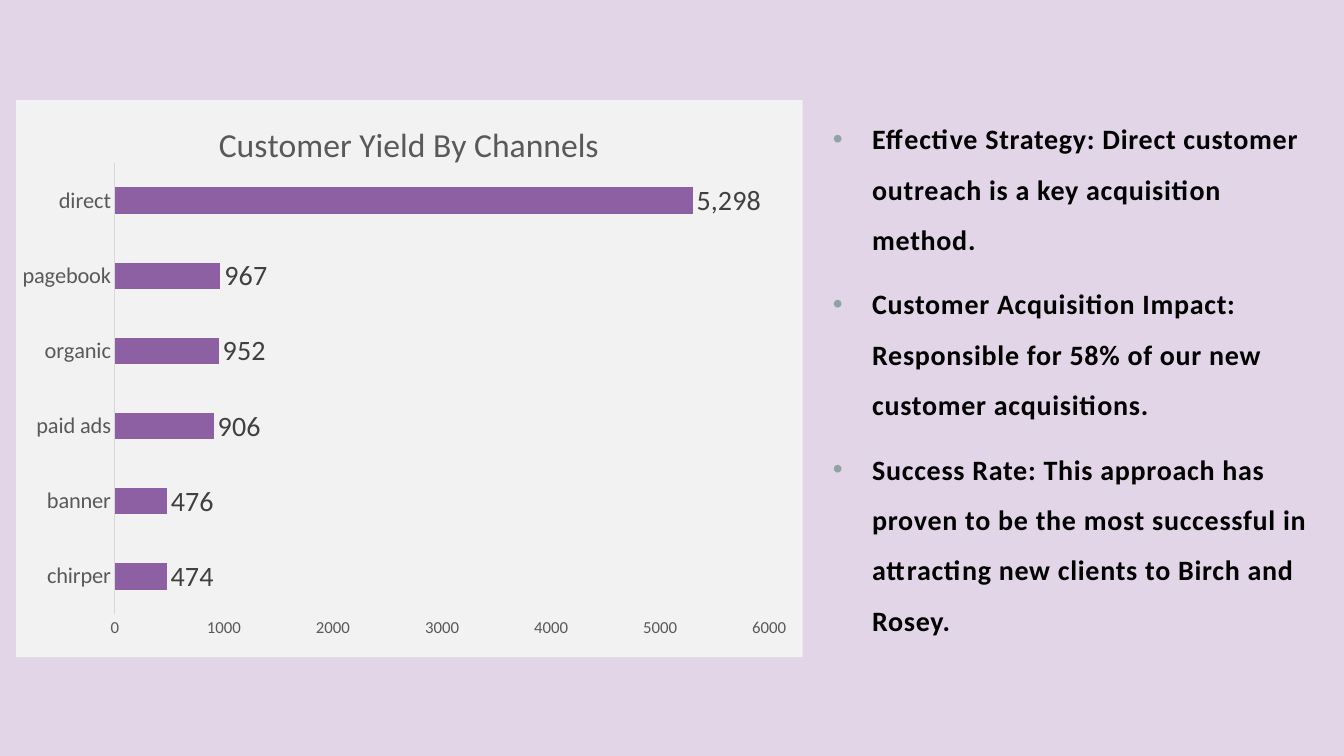
from lxml.etree import SubElement
from pptx import Presentation
from pptx.chart.data import CategoryChartData
from pptx.dml.color import RGBColor
from pptx.enum.chart import XL_CHART_TYPE, XL_LABEL_POSITION, XL_TICK_MARK
from pptx.enum.text import MSO_ANCHOR, MSO_AUTO_SIZE, PP_ALIGN
from pptx.oxml import parse_xml
from pptx.oxml.ns import nsdecls, qn
from pptx.util import Inches, Pt

FONT = "Calibri"
WIDTH, HEIGHT = 7.8, 5.53
COLORS = {
    "back": "E1D5E7",
    "panel": "F2F2F2",
    "bar": "8D5FA3",
    "axis": "D9D9D9",
    "grey": "595959",
    "label": "404040",
    "text": "000000",
    "bullet": "8FA3A3",
}
YIELDS = [
    ("chirper", 474),
    ("banner", 476),
    ("paid ads", 906),
    ("organic", 952),
    ("pagebook", 967),
    ("direct", 5298),
]
POINTS = [
    "Effective Strategy: Direct customer outreach is a key acquisition method.",
    "Customer Acquisition Impact: Responsible for 58% of our new customer acquisitions.",
    "Success Rate: This approach has proven to be the most successful in "
    "attracting new clients to Birch and Rosey.",
]


def color(name):
    """Return the named colour."""
    return RGBColor.from_string(COLORS[name])


def style(font, size, name, bold=False):
    """Set the face, size, colour and weight of a font."""
    font.name = FONT
    font.size = Pt(size)
    font.bold = bold
    font.color.rgb = color(name)


def place(shape, left, top, width, height):
    """Move and size a shape, in inches."""
    shape.left, shape.top = Inches(left), Inches(top)
    shape.width, shape.height = Inches(width), Inches(height)


def add_point(para, text):
    """Fill a paragraph with one bold bulleted point."""
    para.alignment = PP_ALIGN.LEFT
    para.line_spacing = 1.5
    para.space_before = Pt(10)
    para.space_after = Pt(0)
    props = para._p.get_or_add_pPr()
    props.set("marL", str(Inches(0.39)))
    props.set("indent", str(-Inches(0.39)))
    tint = SubElement(props, qn("a:buClr"))
    SubElement(tint, qn("a:srgbClr"), val=COLORS["bullet"])
    SubElement(props, qn("a:buFont"), typeface="Arial")
    SubElement(props, qn("a:buChar"), char="•")
    run = para.add_run()
    run.text = text
    style(run.font, 20, "text", True)
    run._r.get_or_add_rPr().set("spc", "50")


def fill_list(body, points):
    """Place the body and write its points."""
    place(body, 8.16, 0.99, 4.95, 5.74)
    frame = body.text_frame
    frame.word_wrap = True
    frame.auto_size = MSO_AUTO_SIZE.NONE
    frame.vertical_anchor = MSO_ANCHOR.TOP
    for i, text in enumerate(points):
        para = frame.add_paragraph() if i else frame.paragraphs[0]
        add_point(para, text)


def make_layout(left, top, size=None):
    """Build a manual chart layout from inches within the chart."""
    items = [("xMode", "edge"), ("yMode", "edge"), ("x", left / WIDTH), ("y", top / HEIGHT)]
    if size:
        items.insert(0, ("layoutTarget", "inner"))
        items += [("w", size[0] / WIDTH), ("h", size[1] / HEIGHT)]
    inner = "".join(f'<c:{tag} val="{val}"/>' for tag, val in items)
    return parse_xml(
        f'<c:layout {nsdecls("c")}><c:manualLayout>{inner}</c:manualLayout></c:layout>'
    )


def set_layout(parent, layout, after=None):
    """Replace the layout of a chart part."""
    for old in parent.findall(qn("c:layout")):
        parent.remove(old)
    spot = 0 if after is None else parent.index(after) + 1
    parent.insert(spot, layout)


def set_title(chart, text):
    """Write and place the chart title."""
    chart.has_title = True
    title = chart.chart_title
    run = title.text_frame.paragraphs[0].add_run()
    run.text = text
    style(run.font, 24, "grey")
    title.include_in_layout = False
    node = title._element
    set_layout(node, make_layout(1.95, 0.16), node.find(qn("c:tx")))


def set_axis(axis, size):
    """Style an axis without grid or ticks."""
    axis.has_major_gridlines = False
    axis.major_tick_mark = axis.minor_tick_mark = XL_TICK_MARK.NONE
    style(axis.tick_labels.font, size, "grey")


def set_bars(plot):
    """Style the bars and their value labels."""
    plot.gap_width = 182
    plot.vary_by_categories = False
    fill = plot.series[0].format.fill
    fill.solid()
    fill.fore_color.rgb = color("bar")
    plot.has_data_labels = True
    labels = plot.data_labels
    labels.show_value = True
    labels.position = XL_LABEL_POSITION.OUTSIDE_END
    labels.number_format = "#,##0;\\-#,##0"
    labels.number_format_is_linked = False
    style(labels.font, 20, "label")


def set_panel(chart):
    """Give the chart a plain background without a border."""
    props = parse_xml(
        f'<c:spPr {nsdecls("c", "a")}><a:solidFill><a:srgbClr val="{COLORS["panel"]}"/>'
        "</a:solidFill><a:ln><a:noFill/></a:ln></c:spPr>"
    )
    chart._chartSpace.find(qn("c:chart")).addnext(props)


def add_bars(slide):
    """Add the bar chart of customers by channel."""
    data = CategoryChartData()
    data.categories = [name for name, _ in YIELDS]
    data.add_series("Series 1", [count for _, count in YIELDS])
    box = [Inches(n) for n in (0.16, 0.99, WIDTH, HEIGHT)]
    chart = slide.shapes.add_chart(XL_CHART_TYPE.BAR_CLUSTERED, *box, data).chart
    style(chart.font, 10, "text")
    chart.has_legend = False
    set_title(chart, "Customer Yield By Channels")
    set_axis(chart.category_axis, 16)
    line = chart.category_axis.format.line
    line.color.rgb = color("axis")
    line.width = Pt(0.75)
    values = chart.value_axis
    set_axis(values, 12)
    values.format.line.fill.background()
    values.minimum_scale, values.maximum_scale = 0, 6000
    values.major_unit = 1000
    values.tick_labels.number_format = "General"
    values.tick_labels.number_format_is_linked = False
    set_bars(chart.plots[0])
    set_panel(chart)
    area = chart._chartSpace.find(qn("c:chart")).find(qn("c:plotArea"))
    set_layout(area, make_layout(0.98, 0.63, (6.49, 4.47)))


def main():
    """Build and save the slide."""
    deck = Presentation()
    deck.slide_width, deck.slide_height = Inches(13.33), Inches(7.5)
    slide = deck.slides.add_slide(deck.slide_layouts[1])
    back = slide.background.fill
    back.solid()
    back.fore_color.rgb = color("back")
    head = slide.shapes.title._element
    head.getparent().remove(head)
    fill_list(slide.placeholders[1], POINTS)
    add_bars(slide)
    deck.save("out.pptx")


if __name__ == "__main__":
    main()
